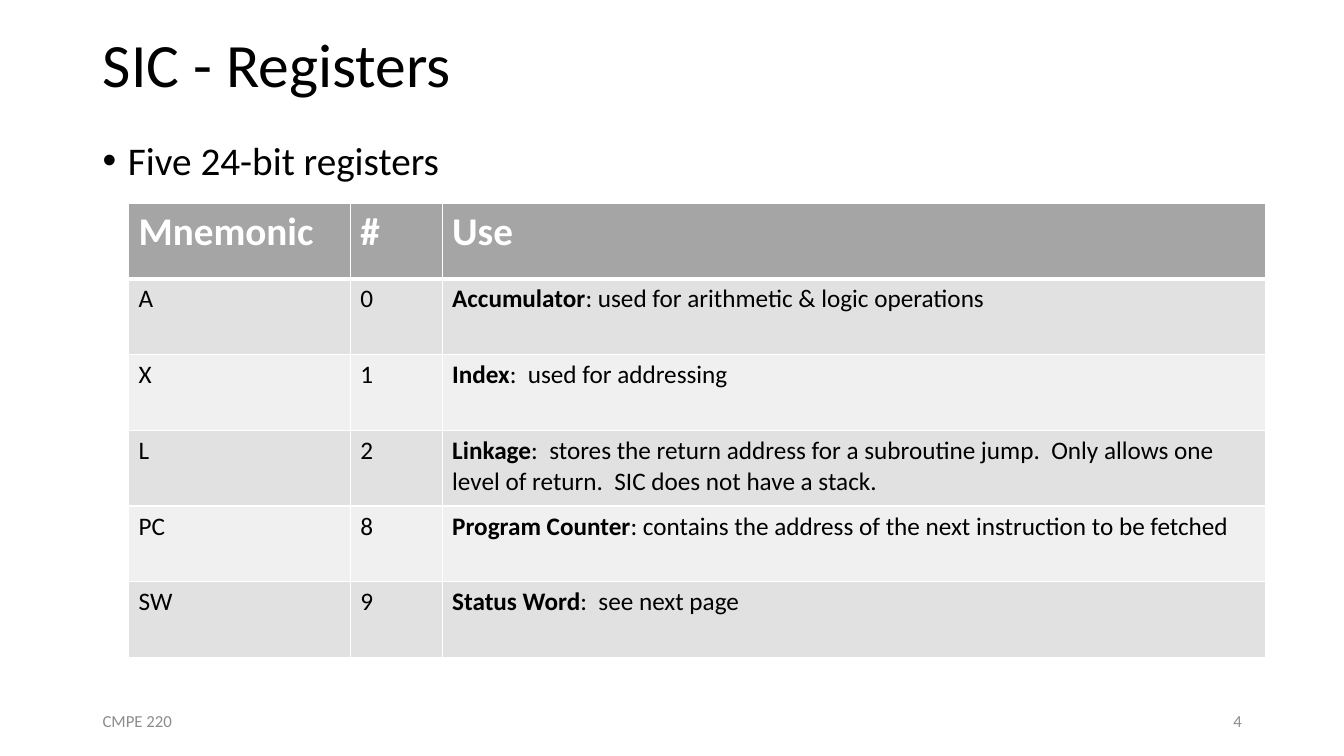
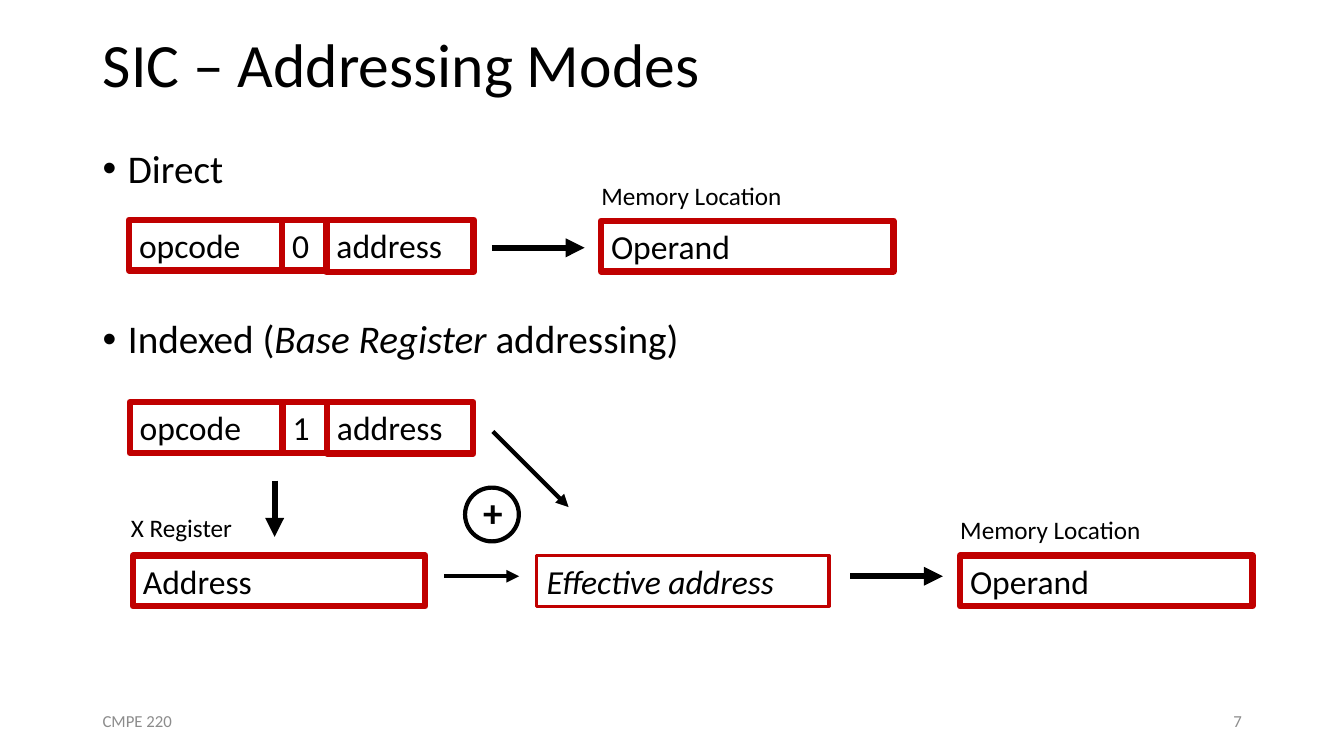
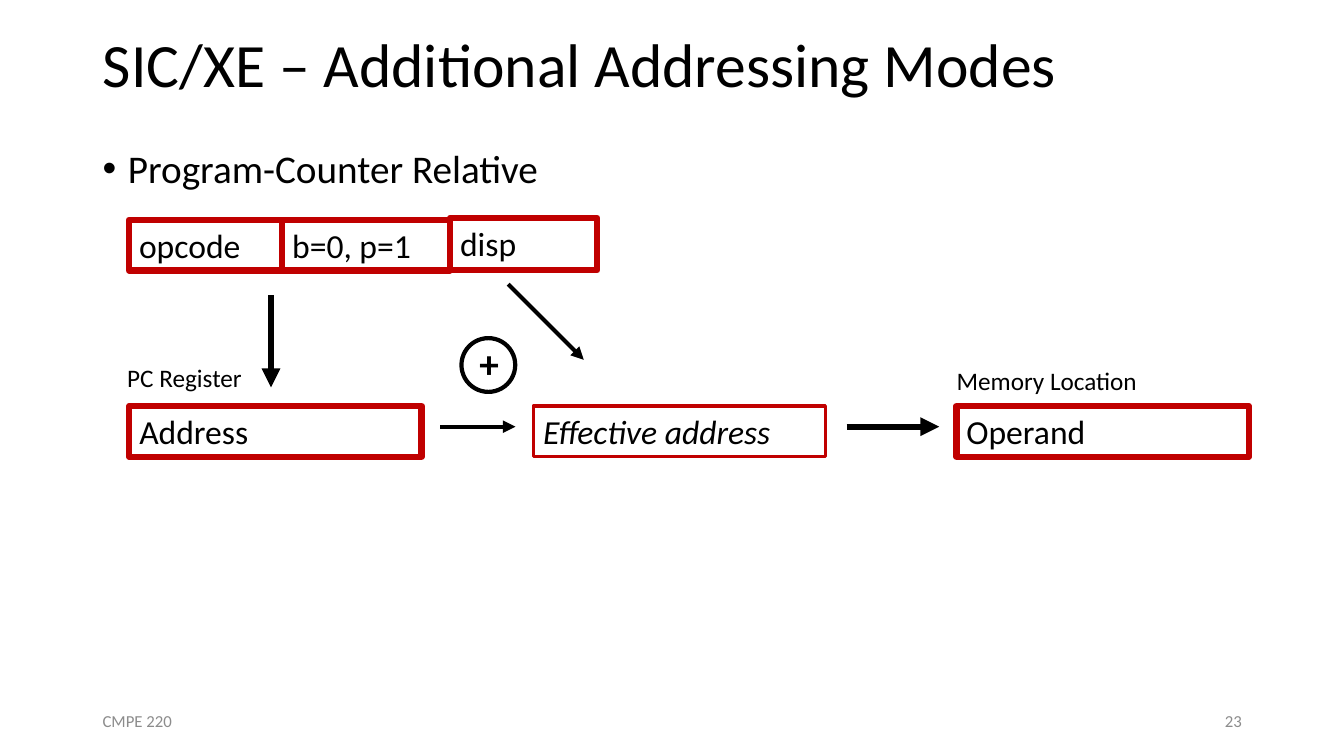
import lxml.etree
import pptx
import pptx.dml.color
import pptx.enum.shapes
import pptx.enum.text
import pptx.oxml.ns
import pptx.util

Pt = pptx.util.Pt
qn = pptx.oxml.ns.qn
Shape = pptx.enum.shapes.MSO_SHAPE
Anchor = pptx.enum.text.MSO_ANCHOR
Align = pptx.enum.text.PP_ALIGN
AutoSize = pptx.enum.text.MSO_AUTO_SIZE

COLORS = {
    "text": "000000",
    "footer": "8C8C8C",
    "box": "C00000",
    "header": "A5A5A5",
    "odd": "E1E1E1",
    "even": "F0F0F0",
    "white": "FFFFFF",
}


def rgb(name):
    return pptx.dml.color.RGBColor.from_string(COLORS[name])


class Deck:
    font = "Calibri"
    margin = 66.2
    content_width = 828
    thick = 4.5
    box_height = 36.2
    wide_box = 208.8

    def __init__(self):
        self.presentation = pptx.Presentation()
        self.presentation.slide_width = Pt(960)
        self.presentation.slide_height = Pt(540)
        self.slide = None

    def add_runs(self, paragraph, runs, size, color="text"):
        for text, style in runs:
            run = paragraph.add_run()
            run.text = text
            run.font.name = self.font
            run.font.size = Pt(size)
            run.font.color.rgb = rgb(color)
            run.font.bold = style == "bold"
            run.font.italic = style == "italic"

    def place(self, shape, left, top, width, height):
        shape.left, shape.top = Pt(left), Pt(top)
        shape.width, shape.height = Pt(width), Pt(height)

    def new_slide(self, title, number):
        self.slide = self.presentation.slides.add_slide(self.presentation.slide_layouts[1])
        shape = self.slide.shapes.title
        self.place(shape, self.margin, 0, self.content_width, 97.2)
        frame = shape.text_frame
        frame.auto_size = AutoSize.NONE
        frame.vertical_anchor = Anchor.MIDDLE
        paragraph = frame.paragraphs[0]
        paragraph.alignment = Align.LEFT
        paragraph.line_spacing = 0.9
        self.add_runs(paragraph, [(title, None)], 44)
        self.footer(self.margin, "CMPE 220", Align.LEFT)
        self.footer(self.margin + self.content_width - 216, number, Align.RIGHT)

    def footer(self, left, text, alignment):
        shape = self.label(left, 500.5, 216, 28.8, text, 12, color="footer", wrap=True)
        shape.text_frame.vertical_anchor = Anchor.MIDDLE
        shape.text_frame.paragraphs[0].alignment = alignment

    def bullets(self, top, width, items):
        shape = self.slide.placeholders[1]
        self.place(shape, self.margin, top, width, 477.4 - top)
        frame = shape.text_frame
        frame.auto_size = AutoSize.NONE
        for index, (space_before, runs) in enumerate(items):
            paragraph = frame.add_paragraph() if index else frame.paragraphs[0]
            paragraph.line_spacing = 0.9
            paragraph.space_before = Pt(space_before)
            properties = paragraph._p.get_or_add_pPr()
            properties.set("marL", str(Pt(18)))
            properties.set("indent", str(-Pt(18)))
            lxml.etree.SubElement(properties, qn("a:buFont")).set("typeface", "Arial")
            lxml.etree.SubElement(properties, qn("a:buChar")).set("char", "•")
            self.add_runs(paragraph, runs, 28)

    def label(self, left, top, width, height, text, size=18, style=None, color="text", wrap=False):
        shape = self.slide.shapes.add_textbox(Pt(left), Pt(top), Pt(width), Pt(height))
        shape.text_frame.word_wrap = wrap
        self.add_runs(shape.text_frame.paragraphs[0], [(text, style)], size, color)
        return shape

    def outline(self, kind, left, top, width, height, color, weight):
        shape = self.slide.shapes.add_shape(kind, Pt(left), Pt(top), Pt(width), Pt(height))
        shape.shadow.inherit = False
        shape.fill.background()
        shape.line.color.rgb = rgb(color)
        shape.line.width = Pt(weight)
        return shape

    def box(self, left, top, width, text, height=box_height, weight=thick, style=None):
        shape = self.outline(Shape.RECTANGLE, left, top, width, height, "box", weight)
        frame = shape.text_frame
        frame.word_wrap = True
        frame.vertical_anchor = Anchor.TOP
        frame.paragraphs[0].alignment = Align.LEFT
        self.add_runs(frame.paragraphs[0], [(text, style)], 24)

    def arrow(self, start_x, start_y, end_x, end_y, weight=thick):
        connector = self.slide.shapes.add_connector(
            pptx.enum.shapes.MSO_CONNECTOR.STRAIGHT,
            Pt(start_x), Pt(start_y), Pt(end_x), Pt(end_y))
        connector.line.color.rgb = rgb("text")
        connector.line.width = Pt(weight)
        properties = connector.element.spPr
        line = properties.find(qn("a:ln"))
        lxml.etree.SubElement(line, qn("a:tailEnd")).set("type", "triangle")
        lxml.etree.SubElement(properties, qn("a:effectLst"))

    def instruction(self, left, fields):
        for text, top, width, height in fields:
            self.box(left, top, width, text, height)
            left += width

    def memory(self, left, top):
        self.label(left - 7, top - 32.6, 144.7, 28.8, "Memory Location")
        self.box(left, top, self.wide_box, "Operand")

    def address_sum(self, left, top, register, register_width, drop_top, offset_start):
        arrow_y = top + 14.8
        self.box(left, top, self.wide_box, "Address")
        self.label(left - 8.6, top - 34.5, register_width, 28.8, register)
        self.arrow(left + 101.2, drop_top, left + 101.2, top - 13.3)
        self.arrow(left + 222.2, arrow_y, left + 275.8, arrow_y, 3)
        self.box(left + 288.4, top, self.wide_box, "Effective address", weight=2.25, style="italic")
        self.arrow(left + 512.3, arrow_y, left + 578.5, arrow_y)
        self.memory(left + 590.8, top)
        offset_x, offset_y = offset_start
        self.arrow(offset_x, offset_y, offset_x + 54, offset_y + 54, 3)
        self.label(left + 243, top - 51.5, 29, 41, "+", 28, "bold")
        self.outline(Shape.OVAL, left + 237.2, top - 48.5, 38.4, 38.4, "text", 3)

    def table(self, left, top, widths, row_height, rows):
        table = self.slide.shapes.add_table(
            len(rows), len(widths), Pt(left), Pt(top),
            Pt(sum(widths)), Pt(row_height * len(rows))).table
        table.horz_banding = False
        for column, width in zip(table.columns, widths):
            column.width = Pt(width)
        for row_index, row in enumerate(rows):
            table.rows[row_index].height = Pt(row_height)
            header = row_index == 0
            fill = "header" if header else "odd" if row_index % 2 else "even"
            for column_index, runs in enumerate(row):
                cell = table.cell(row_index, column_index)
                self.add_runs(cell.text_frame.paragraphs[0], runs,
                              28 if header else 18, "white" if header else "text")
                self.borders(cell, 3 if row_index == 1 else 1, 3 if header else 1)
                cell.fill.solid()
                cell.fill.fore_color.rgb = rgb(fill)

    def borders(self, cell, top, bottom):
        properties = cell._tc.get_or_add_tcPr()
        for side, weight in (("L", 1), ("R", 1), ("T", top), ("B", bottom)):
            line = lxml.etree.SubElement(properties, qn("a:ln" + side))
            line.set("w", str(Pt(weight)))
            fill = lxml.etree.SubElement(line, qn("a:solidFill"))
            lxml.etree.SubElement(fill, qn("a:srgbClr")).set("val", COLORS["white"])


def registers_slide(deck):
    deck.new_slide("SIC - Registers", "4")
    deck.bullets(97.2, deck.content_width, [(10, [("Five 24-bit registers", None)])])
    registers = [
        ("A", "0", "Accumulator", ": used for arithmetic & logic operations"),
        ("X", "1", "Index", ":  used for addressing"),
        ("L", "2", "Linkage", ":  stores the return address for a subroutine jump.  "
                              "Only allows one level of return.  SIC does not have a stack."),
        ("PC", "8", "Program Counter",
         ": contains the address of the next instruction to be fetched"),
        ("SW", "9", "Status Word", ":  see next page"),
    ]
    rows = [[[(heading, "bold")] for heading in ("Mnemonic", "#", "Use")]]
    for mnemonic, number, name, use in registers:
        rows.append([[(mnemonic, None)], [(number, None)], [(name, "bold"), (use, None)]])
    deck.table(91.8, 145, [158.4, 65.6, 588.2], 54.12, rows)


def addressing_slide(deck):
    deck.new_slide("SIC – Addressing Modes", "7")
    deck.bullets(103, 449.3, [
        (10, [("Direct", None)]),
        (91.5, [("Indexed (", None), ("Base Register ", "italic"), ("addressing)", None)]),
    ])
    deck.instruction(92.2, [
        ("opcode", 157, 109.4, 36.2), ("0", 157, 31.7, 36.2), ("address", 157, 105, 37.4)])
    deck.arrow(351.4, 177, 417.6, 177)
    deck.memory(429.4, 157.7)
    deck.instruction(92.7, [
        ("opcode", 287.3, 109.2, 36.2), ("1", 287.3, 31.7, 36.2),
        ("address", 287.3, 104.5, 36.7)])
    deck.address_sum(95, 396.8, "X Register", 87.8, 343.4, (352.1, 308.2))


def relative_slide(deck):
    deck.new_slide("SIC/XE – Additional Addressing Modes", "23")
    deck.bullets(103, 449.3, [(10, [("Program-Counter Relative", None)])])
    deck.instruction(92.2, [
        ("opcode", 157, 109.4, 36.2), ("b=0, p=1", 157, 120, 36.2), ("disp", 155.6, 105, 37.4)])
    deck.address_sum(92.4, 290, "PC Register", 99.4, 211, (363, 203))


def main():
    deck = Deck()
    registers_slide(deck)
    addressing_slide(deck)
    relative_slide(deck)
    deck.presentation.save("out.pptx")


if __name__ == "__main__":
    main()
